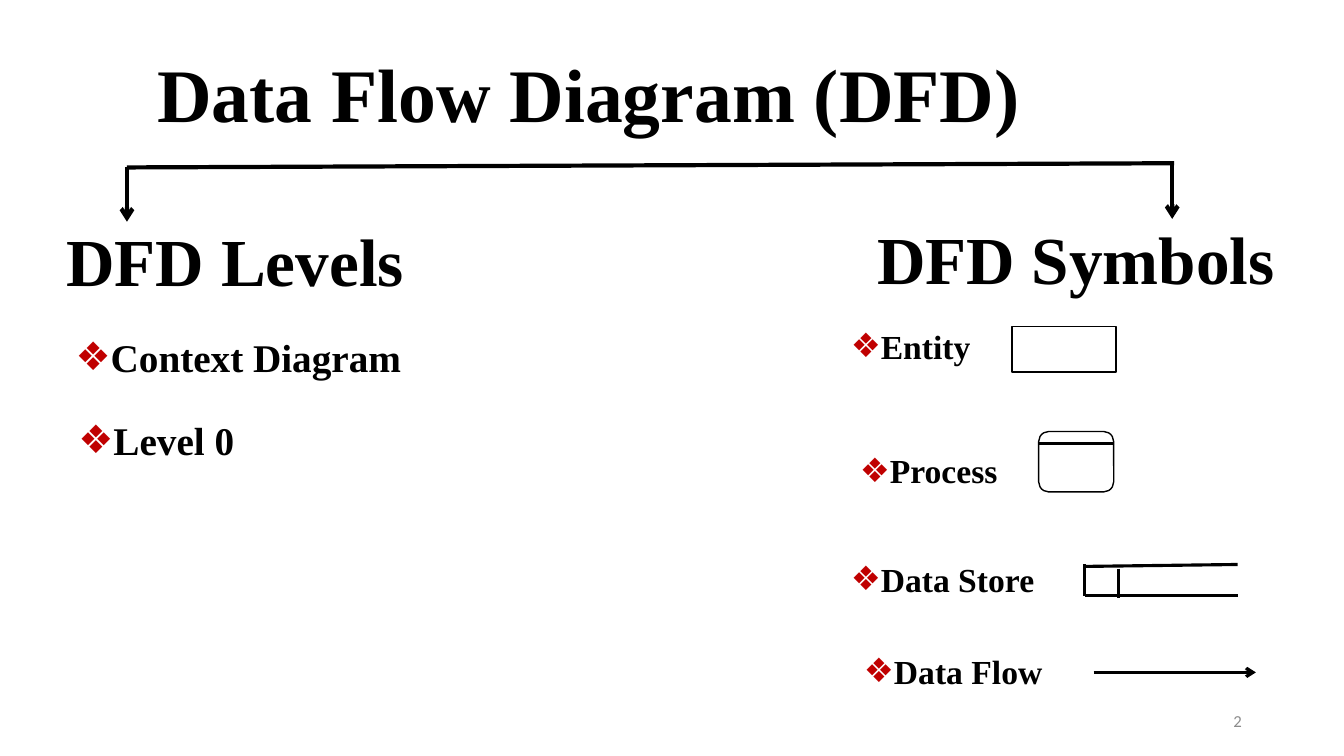
from lxml.etree import SubElement
from pptx import Presentation
from pptx.dml.color import RGBColor
from pptx.enum.shapes import MSO_CONNECTOR as Connector, MSO_SHAPE as Shape
from pptx.enum.text import MSO_ANCHOR as Anchor, MSO_AUTO_SIZE as AutoSize, PP_ALIGN as Align
from pptx.oxml.ns import qn
from pptx.util import Pt

COLORS = {"ink": "000000", "bullet": "C00000", "paper": "FFFFFF", "number": "8C8C8C"}
SERIF = "Times New Roman"
LINE_HEIGHT = 1.15

FRAME = {"word_wrap": True, "auto_size": AutoSize.NONE, "vertical_anchor": Anchor.TOP,
         "margin_left": Pt(7.2), "margin_right": Pt(7.2),
         "margin_top": Pt(3.6), "margin_bottom": Pt(3.6)}
TITLE = {"name": SERIF, "size": Pt(54), "bold": True}
HEADING = {"name": SERIF, "size": Pt(48), "bold": True}
LEVEL = {"name": SERIF, "size": Pt(28), "bold": True}
SYMBOL = {"name": SERIF, "size": Pt(24), "bold": True}
NUMBER = {"name": "Calibri", "size": Pt(12), "bold": False}


def rgb(color):
    return RGBColor.from_string(COLORS[color])


def apply_format(target, values):
    for attribute, value in values.items():
        setattr(target, attribute, value)


def place(holder, box):
    apply_format(holder, dict(zip(("left", "top", "width", "height"), map(Pt, box))))
    apply_format(holder.text_frame, FRAME)


def write(paragraph, wording, font, color="ink", **layout):
    run = paragraph.add_run()
    run.text = wording
    apply_format(run.font, font)
    run.font.color.rgb = rgb(color)
    apply_format(paragraph, {"space_before": Pt(0), "space_after": Pt(0), **layout})


def add_bullet(paragraph, offset):
    properties = paragraph._p.get_or_add_pPr()
    properties.set("marL", str(Pt(offset)))
    properties.set("indent", "0")
    bullet_color = SubElement(properties, qn("a:buClr"))
    SubElement(bullet_color, qn("a:srgbClr")).set("val", COLORS["bullet"])
    SubElement(properties, qn("a:buChar")).set("char", "❖")


def draw_line(slide, box, start, end, weight, arrow=False):
    left, top = box[:2]
    line = slide.shapes.add_connector(
        Connector.STRAIGHT, Pt(left + start[0]), Pt(top + start[1]),
        Pt(left + end[0]), Pt(top + end[1]))
    line.line.color.rgb = rgb("ink")
    line.line.width = Pt(weight)
    if arrow:
        SubElement(line.line._get_or_add_ln(), qn("a:tailEnd")).set("type", "arrow")
    SubElement(line._element.spPr, qn("a:effectLst"))


def draw_outline(slide, preset, box):
    outline = slide.shapes.add_shape(preset, *map(Pt, box))
    outline.shadow.inherit = False
    outline.fill.solid()
    outline.fill.fore_color.rgb = rgb("paper")
    outline.line.color.rgb = rgb("ink")
    outline.line.width = Pt(1)


def fill_heading(holder, box, wording, font, alignment):
    place(holder, box)
    write(holder.text_frame.paragraphs[0], wording, font,
          alignment=alignment, line_spacing=0.9)


def fill_list(holder, box, items, font, line_spacing):
    place(holder, box)
    frame = holder.text_frame
    line = font["size"].pt * LINE_HEIGHT * line_spacing
    for index, (wording, offset, pitch) in enumerate(items):
        paragraph = frame.add_paragraph() if index else frame.paragraphs[0]
        gap = Pt(pitch - line) if index else Pt(0)
        write(paragraph, wording, font, alignment=Align.LEFT,
              line_spacing=line_spacing, space_before=gap)
        add_bullet(paragraph, offset)


def draw_branches(slide, box):
    width, height = box[2:]
    draw_line(slide, box, (0, 3), (width, 0), 3)
    draw_line(slide, box, (0, 3), (0, height), 3, arrow=True)
    draw_line(slide, box, (width - 1.4, 1.4), (width - 1.4, height - 2), 3, arrow=True)


def draw_process(slide, box):
    draw_outline(slide, Shape.ROUNDED_RECTANGLE, box)
    draw_line(slide, box, (0, 8.6), (box[2], 8.6), 1.5)


def draw_data_store(slide, box):
    width, height = box[2:]
    draw_line(slide, box, (0, 0), (0, height), 2.25)
    draw_line(slide, box, (0, 1.4), (width, 0), 2.25)
    draw_line(slide, box, (0, height), (width, height), 2.25)
    draw_line(slide, box, (24, 3), (24, height + 1.4), 2.25)


def draw_symbols(slide, box):
    left, top = box[:2]
    draw_outline(slide, Shape.RECTANGLE, (left + 122.4, top + 4.3, 74.2, 32.4))
    draw_process(slide, (left + 141.4, top + 79.2, 53.6, 43.2))
    draw_data_store(slide, (left + 174.2, top + 174.2, 109.4, 22.3))
    draw_line(slide, box, (180.7, 251.3), (296.6, 251.3), 2.25, arrow=True)


def add_page_number(slide, box, number):
    page = slide.shapes.add_textbox(*map(Pt, box))
    apply_format(page.text_frame, {**FRAME, "vertical_anchor": Anchor.MIDDLE})
    write(page.text_frame.paragraphs[0], number, NUMBER, "number", alignment=Align.RIGHT)


def build_dfd_slide(deck):
    slide = deck.slides.add_slide(deck.slide_layouts[4])
    title, levels_heading, levels, symbols_heading, symbols = slide.placeholders
    symbols_box = (600.5, 229, 336, 270)

    fill_heading(title, (105, 37.4, 784, 46), "Data Flow Diagram (DFD)", TITLE, Align.LEFT)
    draw_branches(slide, (90.7, 116.6, 748, 41.8))
    fill_heading(levels_heading, (0, 159.8, 336.2, 50.4), "DFD Levels", HEADING, Align.CENTER)
    fill_list(levels, (46.8, 238, 300, 113),
              [("Context Diagram", 0, 0), ("Level 0", 2, 58)], LEVEL, 0.9)
    fill_heading(symbols_heading, (600.5, 158.4, 336.2, 50.4), "DFD Symbols",
                 HEADING, Align.CENTER)
    fill_list(symbols, symbols_box,
              [("Entity", 0, 0), ("Process", 6.5, 87.8),
               ("Data Store", 0, 76.3), ("Data Flow", 9.4, 64.8)], SYMBOL, 1.0)
    draw_symbols(slide, symbols_box)
    add_page_number(slide, (678.2, 500.4, 216, 28.8), "2")


def main():
    deck = Presentation()
    apply_format(deck, {"slide_width": Pt(960), "slide_height": Pt(540)})
    build_dfd_slide(deck)
    deck.save("out.pptx")


if __name__ == "__main__":
    main()
